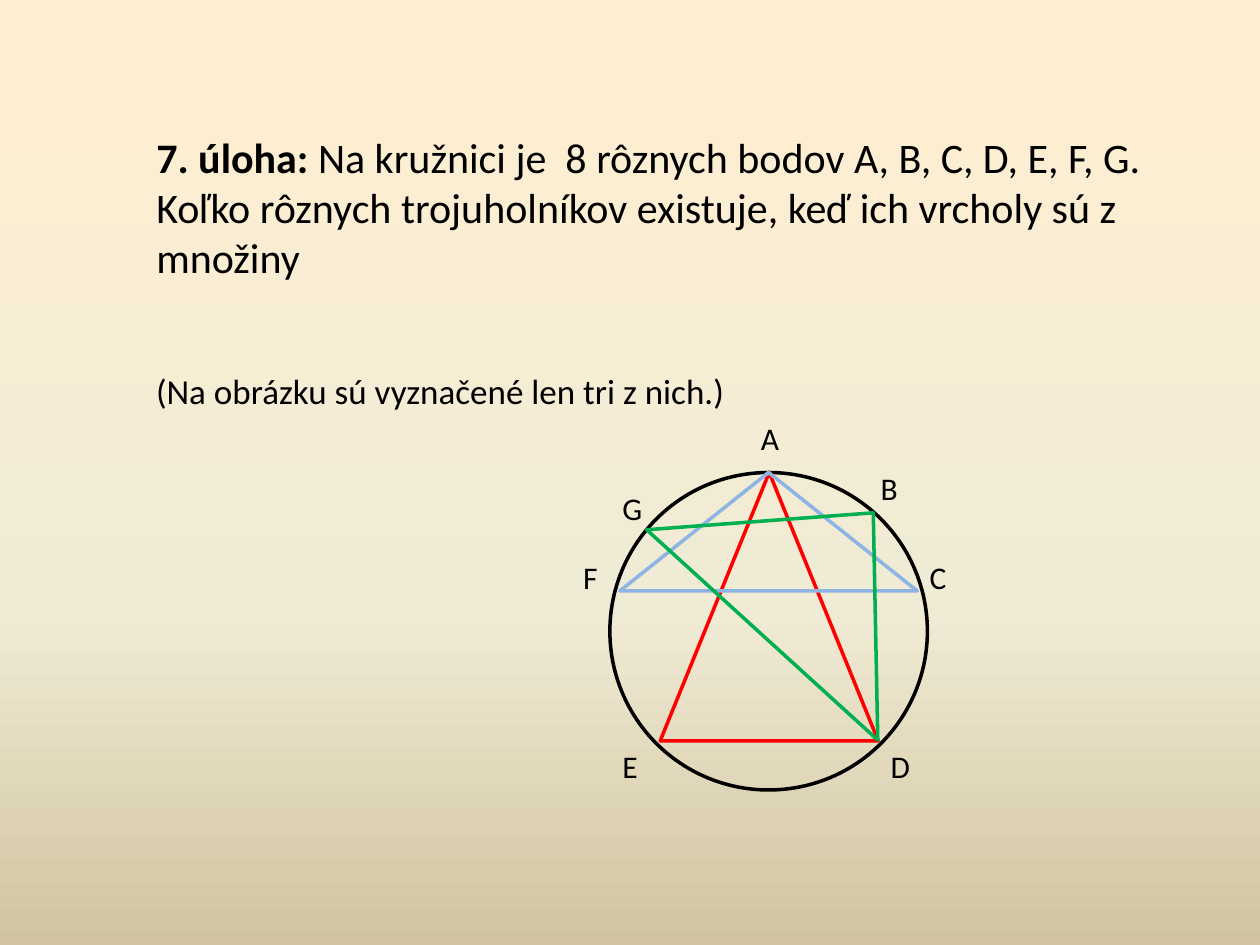
import pptx
import pptx.util
import pptx.dml.color
import pptx.enum.shapes
import pptx.enum.text
import pptx.oxml.ns
import lxml.etree

Inches = pptx.util.Inches
SHAPES = pptx.enum.shapes.MSO_SHAPE
BLACK = "000000"


def color(hex_string):
    return pptx.dml.color.RGBColor.from_string(hex_string)


def paint_background(page, stops):
    fill = page.background.fill
    fill.gradient()
    fill.gradient_angle = 270  # top to bottom
    qn = pptx.oxml.ns.qn
    stop_list = page._element.find(".//" + qn("a:gsLst"))
    for stop in list(stop_list):
        stop_list.remove(stop)
    for percent, hex_string in stops:
        stop = lxml.etree.SubElement(stop_list, qn("a:gs"), pos=str(percent * 1000))
        lxml.etree.SubElement(stop, qn("a:srgbClr"), val=hex_string)


def write_spans(box, spans, size):
    """Fill a box with one left-aligned paragraph of (text, bold) spans."""
    frame = box.text_frame
    frame.word_wrap = True
    frame.auto_size = pptx.enum.text.MSO_AUTO_SIZE.NONE
    frame.vertical_anchor = pptx.enum.text.MSO_ANCHOR.TOP
    para = frame.paragraphs[0]
    para.alignment = pptx.enum.text.PP_ALIGN.LEFT
    for text, bold in spans:
        span = para.add_run()
        span.text = text
        span.font.name = "Calibri"
        span.font.size = pptx.util.Pt(size)
        span.font.bold = bold
        span.font.color.rgb = color(BLACK)


def place_title(page, left, top, width, height, spans, size):
    title = page.shapes.title
    title.left, title.top = Inches(left), Inches(top)
    title.width, title.height = Inches(width), Inches(height)
    write_spans(title, spans, size)


def add_text(page, left, top, width, height, text, size):
    box = page.shapes.add_textbox(
        Inches(left), Inches(top), Inches(width), Inches(height))
    write_spans(box, [(text, False)], size)


def add_outline(page, kind, left, top, width, height, hex_string, rotation=0):
    shape = page.shapes.add_shape(
        kind, Inches(left), Inches(top), Inches(width), Inches(height))
    shape.shadow.inherit = False
    shape.fill.background()
    shape.line.color.rgb = color(hex_string)
    shape.line.width = pptx.util.Pt(2)
    shape.rotation = rotation


def main():
    deck = pptx.Presentation()
    deck.slide_width, deck.slide_height = Inches(10), Inches(7.5)
    page = deck.slides.add_slide(deck.slide_layouts[5])
    paint_background(page, [(0, "FFEFD1"), (65, "F0EBD5"), (100, "D1C39F")])

    # Task wording
    place_title(page, 1.14, 0.99, 8.27, 1.31, [
        ("7. úloha: ", True),
        ("Na kružnici je  8 rôznych bodov A, B, C, D, E, F, G. Koľko rôznych "
         "trojuholníkov existuje, keď ich vrcholy sú z množiny", False)], 24)
    add_text(page, 1.14, 2.88, 4.8, 0.44,
             "(Na obrázku sú vyznačené len tri z nich.)", 20)

    # Circle and its point labels
    add_outline(page, SHAPES.OVAL, 4.84, 3.75, 2.52, 2.52, BLACK)
    points = {"A": (5.94, 3.28), "B": (6.89, 3.67), "C": (7.28, 4.38),
              "D": (6.97, 5.88), "E": (4.84, 5.88), "F": (4.53, 4.38),
              "G": (4.84, 3.83)}
    for name, (left, top) in points.items():
        add_text(page, left, top, 0.39, 0.4, name, 18)

    # Triangles ADE, ACF and BDG
    triangles = [(5.24, 3.75, 1.73, 2.13, "FF0000", 0),
                 (4.92, 3.75, 2.36, 0.94, "8EB4E3", 0),
                 (5.25, 3.9, 2.48, 1.31, "00B050", 42.3)]
    for triangle in triangles:
        add_outline(page, SHAPES.ISOSCELES_TRIANGLE, *triangle)

    deck.save("out.pptx")


if __name__ == "__main__":
    main()
